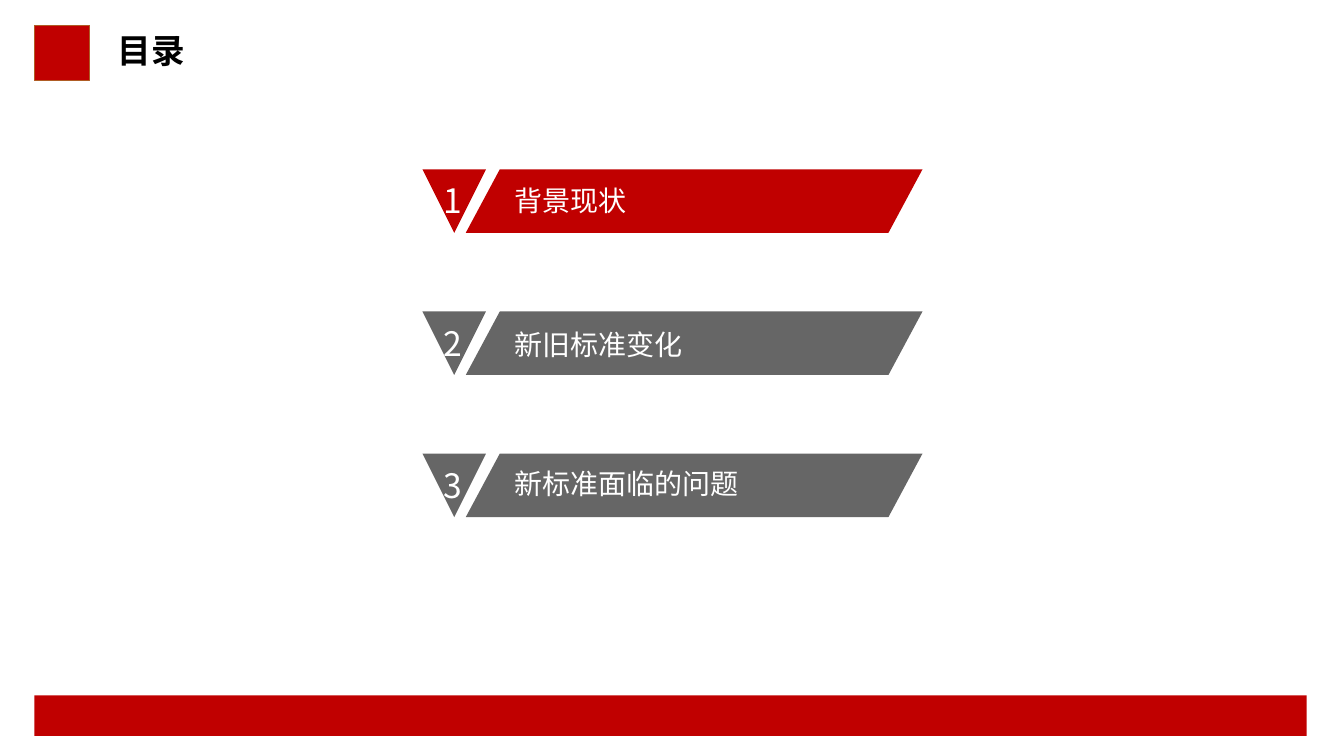
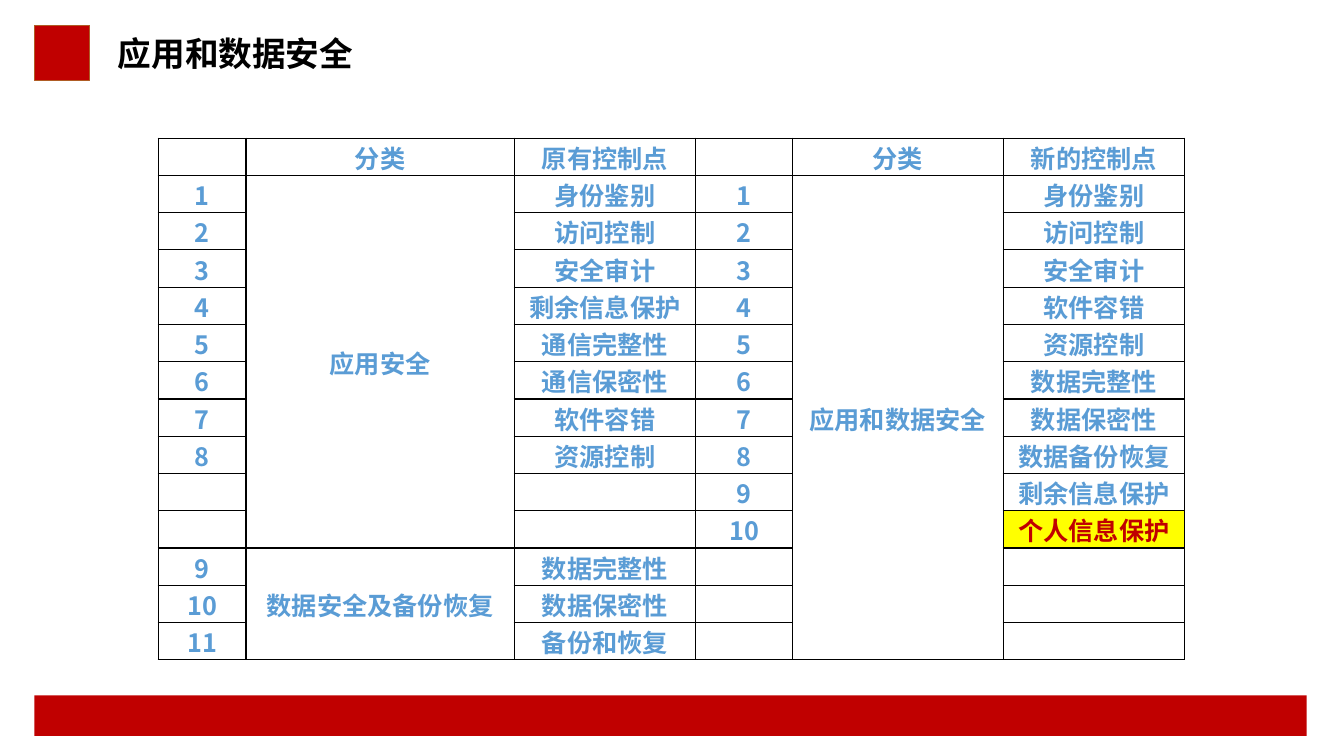
from lxml import etree
from pptx import Presentation
from pptx.dml.color import RGBColor
from pptx.enum.shapes import MSO_SHAPE as SHAPE
from pptx.enum.text import MSO_ANCHOR as ANCHOR, PP_ALIGN as ALIGN
from pptx.oxml import parse_xml
from pptx.oxml.ns import nsdecls, qn
from pptx.util import Inches, Pt

FONT = "Noto Sans CJK SC"
COLORS = {
    "red": "C00000",
    "bronze": "AF5C24",
    "gray": "666666",
    "white": "FFFFFF",
    "black": "000000",
    "blue": "5A9CD5",
    "yellow": "FFFF00",
}

AGENDA = [
    ("背景现状", "red", 0.09),
    ("新旧标准变化", "gray", 0.11),
    ("新标准面临的问题", "gray", 0.08),
]
AGENDA_TOP, AGENDA_PITCH, BAND_H = 1.68, 1.41, 0.63

HEADERS = ["", "分类", "原有控制点", "", "分类", "新的控制点"]
OLD_APP = ["身份鉴别", "访问控制", "安全审计", "剩余信息保护", "通信完整性",
           "通信保密性", "软件容错", "资源控制"]
OLD_DATA = ["数据完整性", "数据保密性", "备份和恢复"]
NEW_POINTS = ["身份鉴别", "访问控制", "安全审计", "软件容错", "资源控制",
              "数据完整性", "数据保密性", "数据备份恢复", "剩余信息保护",
              "个人信息保护"]
HIGHLIGHT = "个人信息保护"
CATEGORIES = [(1, 10, 1, "应用安全"), (11, 13, 1, "数据安全及备份恢复"),
              (1, 13, 4, "应用和数据安全")]
COL_WIDTHS = [0.87, 2.66, 1.8, 0.96, 2.09, 1.8]
ROW_H = 0.37


def rgb(name):
    return RGBColor.from_string(COLORS[name])


def style_font(font, size, color, bold=False):
    font.size = Pt(size)
    font.bold = bold
    font.color.rgb = rgb(color)
    font.name = FONT
    etree.SubElement(font._rPr, qn("a:ea")).set("typeface", FONT)


def add_block(shapes, kind, box, fill, line=None):
    sp = shapes.add_shape(kind, *map(Inches, box))
    sp.shadow.inherit = False
    sp.fill.solid()
    sp.fill.fore_color.rgb = rgb(fill)
    if line:
        sp.line.color.rgb = rgb(line)
        sp.line.width = Pt(1)
    else:
        sp.line.fill.background()
    return sp


def add_label(shapes, text, box, size, color, bold=False, anchor=ANCHOR.TOP):
    tf = shapes.add_textbox(*map(Inches, box)).text_frame
    tf.word_wrap = True
    tf.vertical_anchor = anchor
    p = tf.paragraphs[0]
    p.text = text
    style_font(p.font, size, color, bold)


def add_framed_slide(prs, title, anchor):
    s = prs.slides.add_slide(prs.slide_layouts[6])
    add_block(s.shapes, SHAPE.RECTANGLE, (0.34, 6.9, 12.62, 0.4), "red")
    add_block(s.shapes, SHAPE.RECTANGLE, (0.34, 0.25, 0.55, 0.55), "red", "bronze")
    add_label(s.shapes, title, (1.07, 0.25, 5.59, 0.55), 24, "black", True, anchor)
    return s


def add_agenda_item(s, number, text, color, top, text_offset):
    shapes = s.shapes.add_group_shape().shapes
    band = add_block(shapes, SHAPE.PARALLELOGRAM, (4.62, top, 4.53, BAND_H), color)
    band.adjustments[0] = 0.536
    add_label(shapes, text, (5, top + text_offset, 4.14, 0.44), 20, "white")
    marker = add_block(shapes, SHAPE.ISOSCELES_TRIANGLE,
                       (4.19, top, BAND_H, BAND_H), color)
    marker.rotation = 180
    add_label(shapes, str(number), (4.3, top + 0.06, 0.45, 0.5), 24, "white")


def control_point_rows():
    old = [(str(i), name) for i, name in enumerate(OLD_APP + OLD_DATA, 1)]
    old[len(OLD_APP):len(OLD_APP)] = [("", "")] * 2
    new = [(str(i), name) for i, name in enumerate(NEW_POINTS, 1)]
    new += [("", "")] * (len(old) - len(new))
    rows = [[n, "", point, m, "", new_point]
            for (n, point), (m, new_point) in zip(old, new)]
    for first, _, col, name in CATEGORIES:
        rows[first - 1][col] = name
    return [HEADERS] + rows


def add_borders(cell):
    tc_pr = cell._tc.get_or_add_tcPr()
    for side in "LRTB":
        tc_pr.append(parse_xml(
            f'<a:ln{side} {nsdecls("a")} w="{Pt(1)}"><a:solidFill>'
            f'<a:srgbClr val="{COLORS["black"]}"/></a:solidFill></a:ln{side}>'))


def fill_cell(cell, text):
    marked = text == HIGHLIGHT
    cell.margin_left = cell.margin_right = cell.margin_top = Inches(0.01)
    cell.margin_bottom = 0
    cell.vertical_anchor = ANCHOR.MIDDLE
    add_borders(cell)
    cell.fill.solid()
    cell.fill.fore_color.rgb = rgb("yellow" if marked else "white")
    if text:
        p = cell.text_frame.paragraphs[0]
        p.alignment = ALIGN.CENTER
        r = p.add_run()
        r.text = text
        style_font(r.font, 18, "red" if marked else "blue", True)


def add_control_table(s):
    rows = control_point_rows()
    table = s.shapes.add_table(
        len(rows), len(COL_WIDTHS), Inches(1.57), Inches(1.37),
        Inches(sum(COL_WIDTHS)), Inches(ROW_H * len(rows))).table
    table.first_row = table.horz_banding = False
    for col, width in zip(table.columns, COL_WIDTHS):
        col.width = Inches(width)
    for i, row in enumerate(rows):
        table.rows[i].height = Inches(ROW_H)
        for j, text in enumerate(row):
            fill_cell(table.cell(i, j), text)
    for first, last, col, _ in CATEGORIES:
        table.cell(first, col).merge(table.cell(last, col))


def main():
    prs = Presentation()
    prs.slide_width, prs.slide_height = Inches(13.33), Inches(7.5)

    s = add_framed_slide(prs, "目录", ANCHOR.TOP)
    for i, (text, color, offset) in enumerate(AGENDA):
        add_agenda_item(s, i + 1, text, color, AGENDA_TOP + i * AGENDA_PITCH, offset)

    s = add_framed_slide(prs, "应用和数据安全", ANCHOR.MIDDLE)
    add_control_table(s)

    prs.save("out.pptx")


if __name__ == "__main__":
    main()
